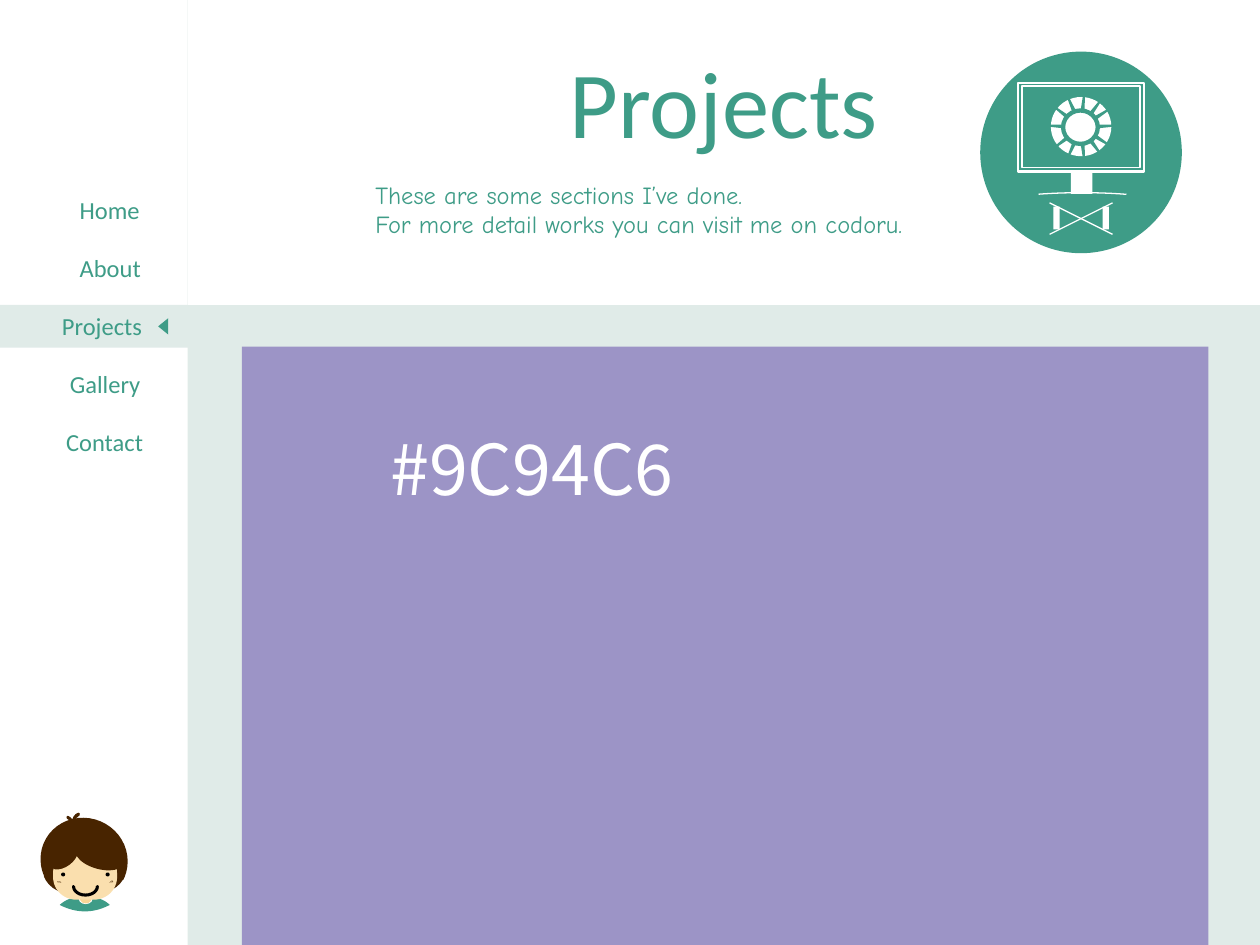
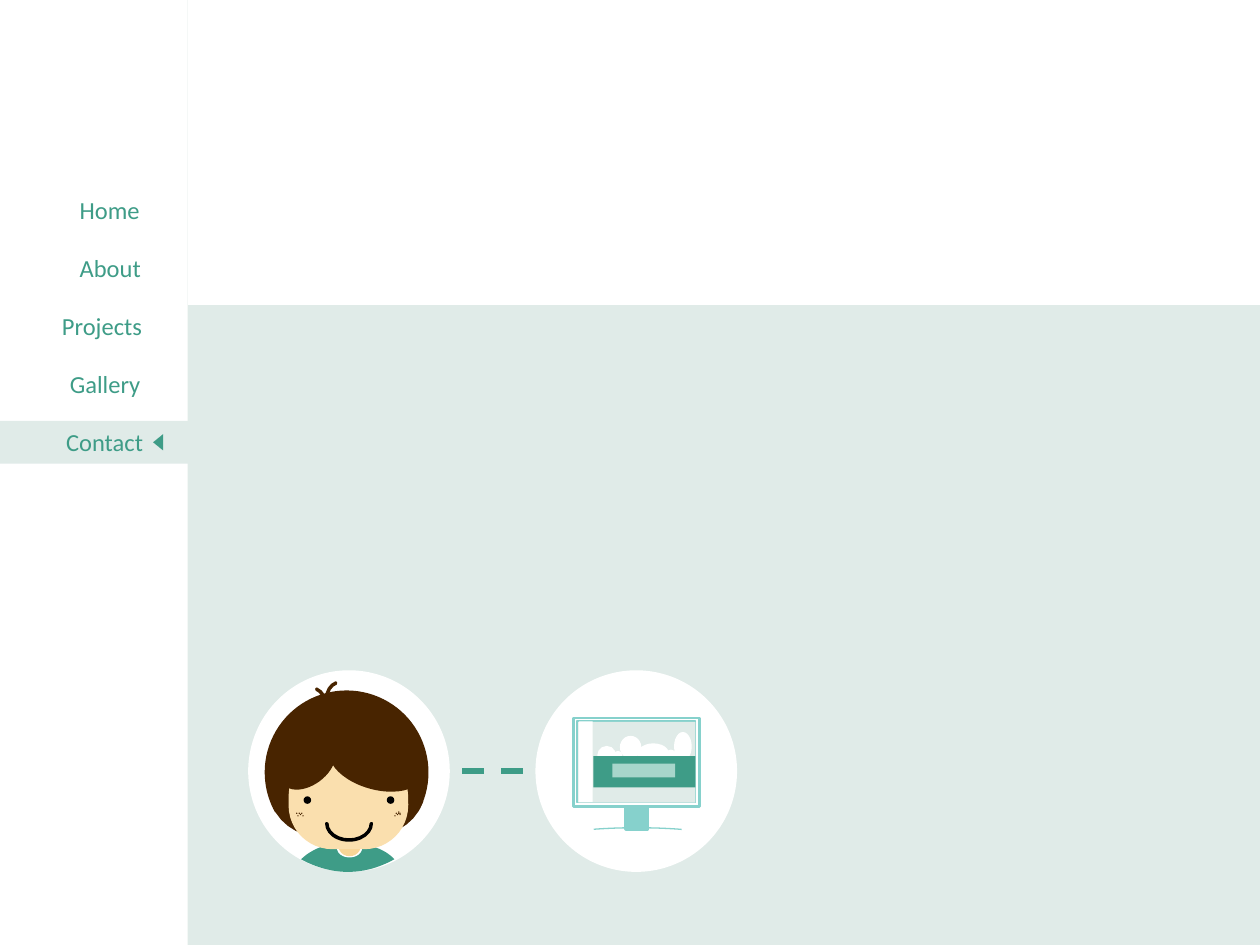
from dataclasses import dataclass
from math import cos, radians, sin
from typing import NamedTuple

from lxml import etree
from pptx import Presentation
from pptx.dml.color import RGBColor
from pptx.enum.shapes import MSO_CONNECTOR, MSO_SHAPE as S
from pptx.enum.text import MSO_AUTO_SIZE as FIT, PP_ALIGN as AL
from pptx.oxml.ns import qn
from pptx.util import Inches, Pt

GREEN, MINT, TEAL, WHITE = "3E9C87", "E0EBE8", "86D1CC", "FFFFFF"
PURPLE, PALE, BLACK = "9C94C6", "D5EFE9", "000000"
HAIR, SKIN, NECK = "482400", "FADFAE", "F8D596"
SIDEBAR_W, HEADER_H, NAV_TOP, NAV_STEP, NAV_H = 1.49, 2.42, 1.5, 0.46, 0.34
BADGE = 1.6


class NavItem(NamedTuple):
    label: str
    left: float
    width: float


class Part(NamedTuple):
    """A preset shape, measured from the corner of the drawing it belongs to."""
    kind: int
    box: tuple
    fill: str | None
    rot: float = 0
    adj: tuple = ()
    line: str | None = None
    pt: float = 1.5
    flip: bool = False


class Outline(NamedTuple):
    """A closed outline: each segment is one line point or three curve points."""
    start: tuple
    segments: tuple
    fill: str


@dataclass(frozen=True)
class Frame:
    """Places local drawing coordinates on the slide."""
    left: float
    top: float
    sx: float = 1
    sy: float = 1

    def point(self, x: float, y: float) -> tuple:
        return self.left + x * self.sx, self.top + y * self.sy

    def box(self, box: tuple, rot: float) -> tuple:
        x, y, w, h = box
        cx, cy = self.point(x + w / 2, y + h / 2)
        sideways = 45 <= rot % 180 < 135
        w *= self.sy if sideways else self.sx
        h *= self.sx if sideways else self.sy
        return cx - w / 2, cy - h / 2, w, h


NAV = (NavItem("Home", 0.53, 0.68), NavItem("About", 0.53, 0.69),
       NavItem("Projects", 0.39, 0.84), NavItem("Gallery", 0.45, 0.77),
       NavItem("Contact", 0.42, 0.82))

FRINGE, COLLAR, TUFT = (47.331, 164.532), (54.01, 162), (184.704, 0, 0.025)
FRECKLES = ((1.19, 1.13), (1.2, 1.14), (1.17, 1.13), (1.18, 1.14), (1.2, 1.13),
            (1.19, 1.12), (1.16, 1.15), (0.39, 1.15), (0.42, 1.13), (0.41, 1.14),
            (0.38, 1.13), (0.4, 1.13), (0.43, 1.15))
AVATAR = (
    Part(S.OVAL, (0, 0, BADGE, BADGE), WHITE),
    Outline((0.64, 1.42), (((0.88, 1.32), (1.27, 1.37), (1.39, 1.04)),), HAIR),
    Outline((0.93, 1.43), (((0.69, 1.33), (0.3, 1.38), (0.18, 1.05)),), HAIR),
    Outline((0.8, 1.37), (((0.95, 1.37), (1.09, 1.42), (1.16, 1.5)),
                          ((1.05, 1.56), (0.93, 1.6), (0.79, 1.6)),
                          ((0.66, 1.6), (0.53, 1.56), (0.42, 1.5)),
                          ((0.5, 1.42), (0.64, 1.36), (0.8, 1.37))), GREEN),
    Part(S.CHORD, (0.73, 1.31, 0.15, 0.2), WHITE, 270, COLLAR),
    Part(S.CHORD, (0.72, 1.3, 0.17, 0.18), NECK, 270, COLLAR),
    Part(S.CHORD, (0.13, 0.16, 1.3, 1.3), HAIR, 112.8, (22.902, 164.415)),
    Outline((0.32, 1.07), (((0.32, 0.88), (0.32, 0.74), (0.67, 0.72)),
                           ((0.92, 0.72),),
                           ((1.26, 0.73), (1.27, 0.88), (1.27, 1.07)),
                           ((1.27, 1.27), (1.11, 1.42), (0.92, 1.42)),
                           ((0.67, 1.42),),
                           ((0.48, 1.42), (0.32, 1.27), (0.32, 1.07))), SKIN),
    Part(S.CHORD, (0.32, 0.51, 0.31, 0.49), HAIR, 233.5, FRINGE),
    Part(S.CHORD, (0.81, 0.36, 0.41, 0.76), HAIR, 286, FRINGE),
    *(Part(S.OVAL, (x, 1, 0.06, 0.06), BLACK) for x in (0.44, 1.1)),
    Part(S.BLOCK_ARC, (0.62, 1.08, 0.36, 0.27), BLACK, 180, (108, 0, 0.025), BLACK),
    Part(S.BLOCK_ARC, (0.58, 0.13, 0.36, 0.27), HAIR, 248.7, TUFT, HAIR),
    Part(S.BLOCK_ARC, (0.23, 0.22, 0.46, 0.28), HAIR, 111.3, TUFT, HAIR, flip=True),
    *(Part(S.OVAL, (x, y, 0.01, 0.01), HAIR) for x, y in FRECKLES),
)

SPOKE_ANGLES = (272.8, 232.7, 203.6, 174.7, 144, 122.7, 87.2, 307.3, 336.4, 5.3, 36, 57.3)
CLOUDS = ((4.87, 5.96, 0.07, 0.08), (4.92, 5.84, 0.17, 0.18), (5.06, 5.9, 0.25, 0.16),
          (5.26, 5.95, 0.13, 0.23), (5.35, 5.81, 0.14, 0.23), (4.74, 5.92, 0.15, 0.15))


def rgb(color: str) -> RGBColor:
    return RGBColor.from_string(color)


def paint(sp, fill: str | None, line: str | None = None, pt: float = 1) -> None:
    sp.shadow.inherit = False
    if fill:
        sp.fill.solid()
        sp.fill.fore_color.rgb = rgb(fill)
    else:
        sp.fill.background()
    if line:
        sp.line.color.rgb = rgb(line)
        sp.line.width = Pt(pt)
    else:
        sp.line.fill.background()


def add_part(shapes, part: Part, frame: Frame = Frame(0, 0)):
    sp = shapes.add_shape(part.kind, *map(Inches, frame.box(part.box, part.rot)))
    for i, value in enumerate(part.adj):
        sp.adjustments[i] = value
    sp.rotation = part.rot
    if part.flip:
        sp._element.spPr.find(qn("a:xfrm")).set("flipH", "1")
    paint(sp, part.fill, part.line, part.pt)
    return sp


def add_rect(shapes, *box: float, fill: str):
    return add_part(shapes, Part(S.RECTANGLE, box, fill))


def add_outline(shapes, outline: Outline, frame: Frame) -> None:
    points = [outline.start]
    for segment in outline.segments:
        if len(segment) == 1:
            points += segment
            continue
        curve = (points[-1], *segment)
        for t in (i / 12 for i in range(1, 13)):
            weights = ((1 - t) ** 3, 3 * t * (1 - t) ** 2, 3 * t * t * (1 - t), t ** 3)
            points.append(tuple(sum(w * p[k] for w, p in zip(weights, curve))
                                for k in (0, 1)))
    placed = [tuple(map(Inches, frame.point(*p))) for p in points]
    builder = shapes.build_freeform(*placed[0])
    builder.add_line_segments(placed[1:], close=True)
    paint(builder.convert_to_shape(), outline.fill)


def add_line(shapes, x1: float, y1: float, x2: float, y2: float,
             color: str, pt: float) -> None:
    ln = shapes.add_connector(MSO_CONNECTOR.STRAIGHT, *map(Inches, (x1, y1, x2, y2)))
    ln.line.color.rgb = rgb(color)
    ln.line.width = Pt(pt)
    etree.SubElement(ln._element.spPr, qn("a:effectLst"))


def add_text(slide, text: str, *box: float, size: float, font: str = "Calibri",
             color: str = GREEN, align: AL = AL.CENTER, wrap: bool = False,
             outline: float = 0) -> None:
    tf = slide.shapes.add_textbox(*map(Inches, box)).text_frame
    tf.word_wrap = wrap
    tf.auto_size = FIT.SHAPE_TO_FIT_TEXT
    for i, line in enumerate(text.split("\n")):
        p = tf.paragraphs[0] if i == 0 else tf.add_paragraph()
        p.alignment = align
        r = p.add_run()
        r.text = line
        r.font.size, r.font.name = Pt(size), font
        r.font.color.rgb = rgb(color)
        if outline:
            ln = etree.Element(qn("a:ln"), w=str(Pt(outline)))
            fill = etree.SubElement(ln, qn("a:solidFill"))
            etree.SubElement(fill, qn("a:srgbClr"), val=color)
            r.font._element.insert(0, ln)


def add_page(prs, active: str, marker_left: float):
    """Adds a page with sidebar, menu and header; the active item is marked."""
    slide = prs.slides.add_slide(prs.slide_layouts[6])
    slide.background.fill.solid()
    slide.background.fill.fore_color.rgb = rgb(MINT)
    shapes = slide.shapes
    add_rect(shapes, -0.01, 0, SIDEBAR_W + 0.01, 7.5, fill=WHITE)
    active_top = NAV_TOP + NAV_STEP * [item.label for item in NAV].index(active)
    add_rect(shapes, 0, active_top, SIDEBAR_W + 0.01, NAV_H, fill=MINT)
    for i, item in enumerate(NAV):
        add_text(slide, item.label, item.left, NAV_TOP + NAV_STEP * i,
                 item.width, NAV_H, size=14)
    add_part(shapes, Part(S.ISOSCELES_TRIANGLE,
                          (marker_left, active_top + 0.13, 0.13, 0.08), GREEN, 270))
    add_rect(shapes, SIDEBAR_W, 0, 10 - SIDEBAR_W, HEADER_H, fill=WHITE)
    return slide


def draw_avatar(shapes, frame: Frame) -> None:
    for item in AVATAR:
        draw = add_outline if isinstance(item, Outline) else add_part
        draw(shapes, item, frame)


def draw_monitor(shapes, left: float, top: float, color: str,
                 stand_line: str | None = None) -> None:
    for part in (
        Part(S.RECTANGLE, (0, 0, 1, 0.7), None, line=color),
        Part(S.RECTANGLE, (0.03, 0.02, 0.94, 0.65), None, line=color, pt=1),
        Part(S.RECTANGLE, (0.42, 0.71, 0.17, 0.17), color, line=stand_line, pt=2),
        Part(S.ARC, (-0.16, 0.87, 1.33, 0.17), None, adj=(115.215, 209.147),
             line=color, pt=0.75),
    ):
        add_part(shapes, part, Frame(left, top))


def draw_reel(shapes, cx: float, cy: float) -> None:
    add_part(shapes, Part(S.OVAL, (cx - 0.24, cy - 0.24, 0.48, 0.47), WHITE))
    add_part(shapes, Part(S.DONUT, (cx - 0.16, cy - 0.15, 0.31, 0.3), GREEN, adj=(0.115,)))
    w, h, radius = 0.03, 0.12, 0.2
    for angle in SPOKE_ANGLES:
        x = cx + radius * sin(radians(angle))
        y = cy - radius * cos(radians(angle))
        add_part(shapes, Part(S.TRAPEZOID, (x - w / 2, y - h / 2, w, h), GREEN, angle))


def build_projects(prs) -> None:
    slide = add_page(prs, "Projects", 1.23)
    add_rect(slide.shapes, 1.92, 2.75, 7.67, 4.75, fill=PURPLE)
    add_text(slide, "These are some sections I’ve done.\n"
             "For more detail works you can visit me on codoru.",
             2.88, 1.38, 5.75, 0.57, size=14, font="Comic Neue",
             align=AL.JUSTIFY, wrap=True)
    add_text(slide, "Projects", 4.36, 0.3, 2.77, 1.01, size=54, outline=1.45)

    badge = slide.shapes.add_group_shape().shapes
    add_part(badge, Part(S.OVAL, (7.78, 0.41, BADGE, BADGE), GREEN))
    draw_monitor(badge, 8.08, 0.66, WHITE)
    draw_reel(badge, 8.58, 1.01)
    for x in (8.36, 8.75):
        add_rect(badge, x, 1.64, 0.05, 0.18, fill=WHITE)
    for y1, y2 in ((1.86, 1.61), (1.61, 1.86)):
        add_line(badge, 8.33, y1, 8.83, y2, WHITE, 0.75)

    draw_avatar(slide.shapes.add_group_shape().shapes, Frame(0.25, 6.41, 0.535, 0.515))
    add_text(slide, "#9C94C6", 3, 3.33, 3.67, 0.77, size=40, font="Noto Sans CJK SC",
             color=WHITE, align=AL.LEFT, wrap=True)


def build_contact(prs) -> None:
    slide = add_page(prs, "Contact", 1.19)
    group = slide.shapes.add_group_shape().shapes
    draw_avatar(group, Frame(1.97, 5.32))
    add_part(group, Part(S.OVAL, (4.25, 5.32, BADGE, BADGE), WHITE))
    draw_monitor(group, 4.55, 5.7, TEAL, stand_line=TEAL)
    add_rect(group, 4.59, 5.73, 0.93, 0.64, fill=MINT)
    add_part(group, Part(S.RECTANGLE, (4.33, 5.99, 0.64, 0.11), WHITE, 270))
    for cloud in CLOUDS:
        add_part(group, Part(S.OVAL, cloud, WHITE))
    add_rect(group, 4.71, 6, 0.81, 0.25, fill=GREEN)
    label = add_rect(group, 4.86, 6.06, 0.5, 0.11, fill=PALE)
    color = label._element.spPr.find(qn("a:solidFill")).find(qn("a:srgbClr"))
    etree.SubElement(color, qn("a:alpha"), val="70000")
    for x in (3.67, 3.98):
        add_line(group, x, 6.12, x + 0.17, 6.12, GREEN, 3)


def main() -> None:
    prs = Presentation()
    prs.slide_width, prs.slide_height = Inches(10), Inches(7.5)
    build_projects(prs)
    build_contact(prs)
    prs.save("out.pptx")


if __name__ == "__main__":
    main()
